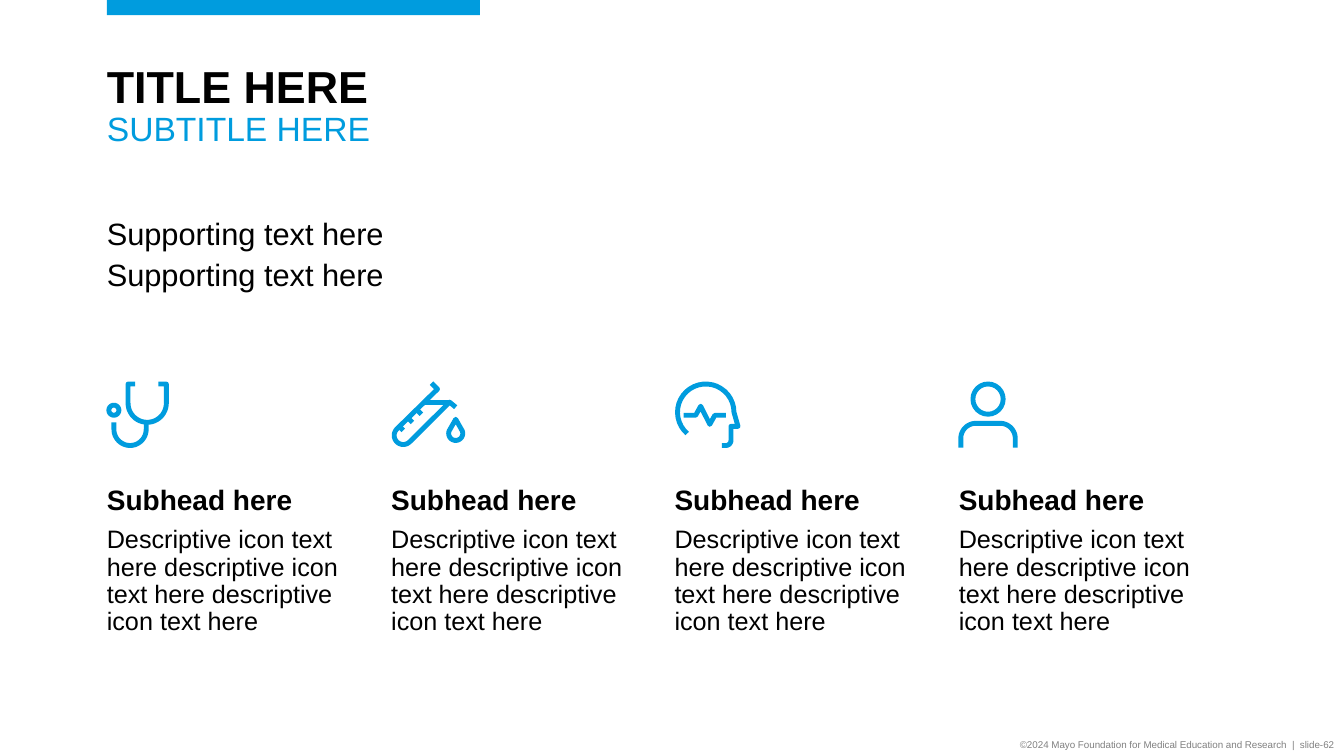
"""Build a title slide with supporting text and four icon columns."""
import math

import pptx
import pptx.dml.color
import pptx.enum.shapes
import pptx.enum.text
import pptx.util

BLUE = pptx.dml.color.RGBColor(0x00, 0x9C, 0xDE)
BLACK = pptx.dml.color.RGBColor(0x00, 0x00, 0x00)
GRAY = pptx.dml.color.RGBColor(0x80, 0x80, 0x80)

TITLE = "TITLE HERE"
SUBTITLE = "SUBTITLE HERE"
SUPPORTING = ["Supporting text here", "Supporting text here"]
FOOTER = "©2024 Mayo Foundation for Medical Education and Research  |  slide-62"
DESCRIPTION = "Descriptive icon text here descriptive icon text here descriptive icon text here"


def arc(center_x, center_y, radius, start, end):
    """Return points along an arc, with degrees running clockwise on the slide."""
    steps = 24
    angles = [math.radians(start + (end - start) * step / steps) for step in range(steps + 1)]
    return [(center_x + radius * math.cos(angle), center_y + radius * math.sin(angle)) for angle in angles]


STETHOSCOPE = [
    (arc(7, 28, 5, 0, 360), True),
    ([(7, 40), *arc(23, 47, 16, 180, 0), (39, 40)], False),
    ([(28, 2), (21, 2), *arc(40, 21, 19, 180, 0), (59, 2), (51, 2)], False),
]
TEST_TUBE = [
    ([(40, 1), (46, 7), *arc(12, 53, 9, 225, 45), (58, 20), (64, 25)], False),
    ([(32, 20), (59, 20)], False),
    *[([(25 - 9 * tick, 27 + 8 * tick), (30 - 9 * tick, 32 + 8 * tick)], False) for tick in range(3)],
    ([(64, 37), *arc(64, 51, 7, 200, -20)], True),
]
HEAD = [
    ([*arc(31, 30, 28, 131, 360), (63, 44), (56, 44), *arc(51, 58, 5, 0, 90), (47, 63)], False),
    ([(9, 33), (21, 33), (26, 24), (35, 42), (40, 33), (51, 33)], False),
]
PERSON = [
    (arc(29, 17, 15, 0, 360), True),
    ([(2, 65), *arc(17, 56, 15, 180, 270), *arc(41, 56, 15, 270, 360), (56, 65)], False),
]
COLUMNS = [(icon, "Subhead here", DESCRIPTION) for icon in (STETHOSCOPE, TEST_TUBE, HEAD, PERSON)]

COLUMN_LEFT, COLUMN_SPAN, COLUMN_WIDTH = 106, 845, 250
ICON_TOP, SUBHEAD_TOP, DESCRIPTION_TOP = 379, 482, 513
STROKE = 3.5


def px(length):
    """Turn a length at 100 px to the inch into EMU."""
    return pptx.util.Emu(round(length * 9144))


def add_run(paragraph, text, size, color, bold=False):
    """Add one formatted run."""
    run = paragraph.add_run()
    run.text = text
    for name, value in {"name": "Arial", "size": pptx.util.Pt(size), "bold": bold}.items():
        setattr(run.font, name, value)
    run.font.color.rgb = color


def format_frame(shape, box, insets, anchor=pptx.enum.text.MSO_ANCHOR.TOP):
    """Place a text shape and set its margins."""
    for name, value in zip(("left", "top", "width", "height"), box):
        setattr(shape, name, px(value))
    values = dict(zip(("margin_left", "margin_top", "margin_right", "margin_bottom"), map(px, insets)))
    values.update(word_wrap=True, auto_size=pptx.enum.text.MSO_AUTO_SIZE.NONE, vertical_anchor=anchor)
    for name, value in values.items():
        setattr(shape.text_frame, name, value)
    return shape.text_frame


def add_text(slide, box, insets, lines, size, color=BLACK, bold=False):
    """Add a text box with one paragraph for each line."""
    shape = slide.shapes.add_textbox(0, 0, 0, 0)
    frame = format_frame(shape, box, insets)
    for index, line in enumerate(lines):
        paragraph = frame.add_paragraph() if index else frame.paragraphs[0]
        paragraph.line_spacing = 0.9
        if index:
            paragraph.space_before = pptx.util.Pt(6)
        add_run(paragraph, line, size, color, bold)
    return frame


def add_stroke(slide, left, top, points, closed):
    """Draw one icon line."""
    scaled = [(px(left + x), px(top + y)) for x, y in points]
    builder = slide.shapes.build_freeform(*scaled[0])
    builder.add_line_segments(scaled[1:], close=closed)
    shape = builder.convert_to_shape()
    shape.shadow.inherit = False
    shape.fill.background()
    shape.line.color.rgb = BLUE
    shape.line.width = pptx.util.Pt(STROKE)


def main():
    """Build and save the slide."""
    presentation = pptx.Presentation()
    presentation.slide_width, presentation.slide_height = px(1333), px(750)
    slide = presentation.slides.add_slide(presentation.slide_layouts[5])

    bar = slide.shapes.add_shape(pptx.enum.shapes.MSO_SHAPE.RECTANGLE, px(COLUMN_LEFT), 0, px(370), px(15))
    bar.shadow.inherit = False
    bar.fill.solid()
    bar.fill.fore_color.rgb = BLUE
    bar.line.fill.background()

    title = format_frame(slide.shapes.title, (COLUMN_LEFT, 59, 1093, 64), (0, 5, 0, 5)).paragraphs[0]
    title.alignment = pptx.enum.text.PP_ALIGN.LEFT
    title.line_spacing = 0.9
    add_run(title, TITLE, 32, BLACK, True)
    title.add_line_break()
    add_run(title, SUBTITLE, 24, BLUE)

    add_text(slide, (COLUMN_LEFT, 217, 1094, 86), (0, 0, 0, 5), SUPPORTING, 22)
    for index, (icon, subhead, description) in enumerate(COLUMNS):
        left = COLUMN_LEFT + round(COLUMN_SPAN * index / (len(COLUMNS) - 1))
        for points, closed in icon:
            add_stroke(slide, left, ICON_TOP, points, closed)
        add_text(slide, (left, SUBHEAD_TOP, COLUMN_WIDTH, 30), (0, 0, 0, 0), [subhead], 20, bold=True)
        add_text(slide, (left, DESCRIPTION_TOP, COLUMN_WIDTH, 158), (0, 10, 0, 5), [description], 18)

    footer = add_text(slide, (733, 728, 600, 22), (10, 5, 10, 5), [FOOTER], 7, GRAY)
    footer.vertical_anchor = pptx.enum.text.MSO_ANCHOR.MIDDLE
    footer.paragraphs[0].alignment = pptx.enum.text.PP_ALIGN.RIGHT
    footer.paragraphs[0].line_spacing = 1.0

    presentation.save("out.pptx")


if __name__ == "__main__":
    main()
